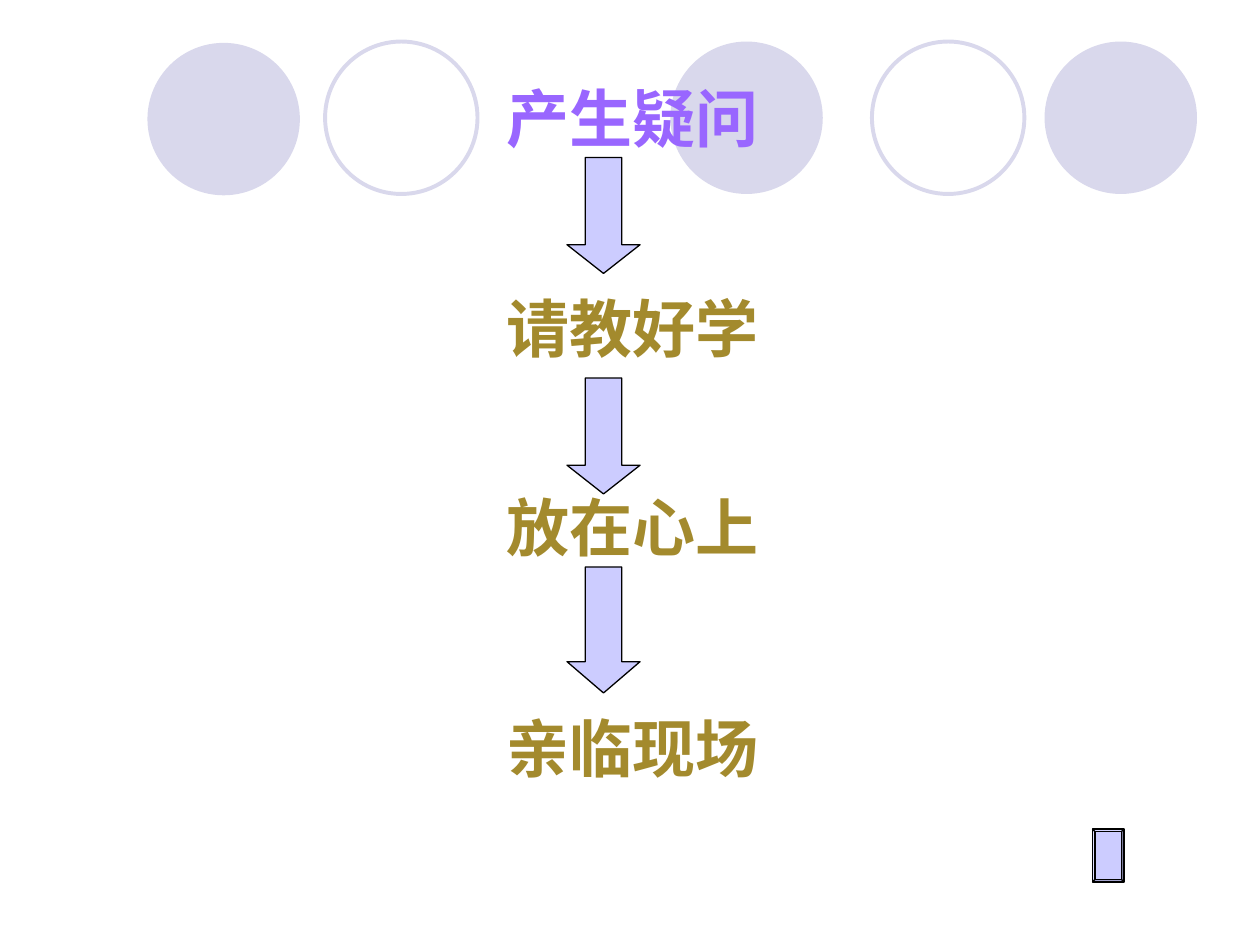
import pptx
import pptx.util
import pptx.dml.color
import pptx.enum.shapes
import pptx.enum.text

Inches = pptx.util.Inches
SHAPES = pptx.enum.shapes.MSO_SHAPE

# Content: step, top, box width
STEPS = [
    ("产生疑问", 0.58, 2.58),
    ("请教好学", 2.25, 2.75),
    ("放在心上", 3.83, 2.33),
    ("亲临现场", 5.58, 2.58),
]
# Arrows between steps: top, height, head ratio
ARROWS = [(1.25, 0.92, 0.393), (3, 0.92, 0.393), (4.5, 1, 0.428)]
# Decorative circles: left, top, filled
CIRCLES = [
    (5.32, 0.33, True),
    (8.29, 0.33, True),
    (1.17, 0.34, True),
    (6.92, 0.33, False),
    (2.58, 0.33, False),
]
THEME = {
    "font": "Arial", "size": 36, "thin": 0.75, "ring": 2.25,
    "title": "9966FF", "step": "A38A2D", "circle": "D9D8EC",
    "accent": "CCCCFF", "outline": "000000",
}
STEP_LEFT, STEP_HEIGHT = 3.92, 0.7
ARROW_LEFT, ARROW_WIDTH = 4.5, 0.58
CIRCLE_SIZE = 1.21


def color(name):
    return pptx.dml.color.RGBColor.from_string(THEME[name])


def add_figure(slide, kind, box, fill=None, line=None, weight="thin"):
    shape = slide.shapes.add_shape(kind, *map(Inches, box))
    shape.shadow.inherit = False
    if fill:
        shape.fill.solid()
        shape.fill.fore_color.rgb = color(fill)
    else:
        shape.fill.background()
    if line:
        shape.line.color.rgb = color(line)
        shape.line.width = pptx.util.Pt(THEME[weight])
    else:
        shape.line.fill.background()
    return shape


def write_step(shape, text, top, width, color_name):
    shape.left, shape.top, shape.width, shape.height = map(
        Inches, (STEP_LEFT, top, width, STEP_HEIGHT))
    frame = shape.text_frame
    frame.text = text
    frame.word_wrap = True
    frame.auto_size = pptx.enum.text.MSO_AUTO_SIZE.NONE
    frame.vertical_anchor = pptx.enum.text.MSO_ANCHOR.TOP
    paragraph = frame.paragraphs[0]
    paragraph.alignment = pptx.enum.text.PP_ALIGN.LEFT
    font = paragraph.runs[0].font
    font.name = THEME["font"]
    font.size = pptx.util.Pt(THEME["size"])
    font.bold = True
    font.color.rgb = color(color_name)


def main():
    presentation = pptx.Presentation()
    presentation.slide_width = Inches(10)
    presentation.slide_height = Inches(7.5)
    slide = presentation.slides.add_slide(presentation.slide_layouts[5])

    # Background circles
    for left, top, filled in CIRCLES:
        box = (left, top, CIRCLE_SIZE, CIRCLE_SIZE)
        if filled:
            add_figure(slide, SHAPES.OVAL, box, fill="circle")
        else:
            add_figure(slide, SHAPES.OVAL, box, line="circle", weight="ring")

    # The first step is the title, brought in front of the circles
    title = slide.shapes.title
    slide.shapes.element.append(title.element)
    write_step(title, *STEPS[0], "title")
    for step in STEPS[1:]:
        textbox = slide.shapes.add_textbox(0, 0, 0, 0)
        write_step(textbox, *step, "step")

    # Arrows
    for top, height, head in ARROWS:
        arrow = add_figure(slide, SHAPES.DOWN_ARROW,
                           (ARROW_LEFT, top, ARROW_WIDTH, height),
                           "accent", "outline")
        arrow.adjustments[0] = 0.5
        arrow.adjustments[1] = head

    # Bevelled button
    button = add_figure(slide, SHAPES.BEVEL, (8.67, 6.58, 0.25, 0.42),
                        "accent", "outline")
    button.adjustments[0] = 0.08

    presentation.save("out.pptx")


if __name__ == "__main__":
    main()
